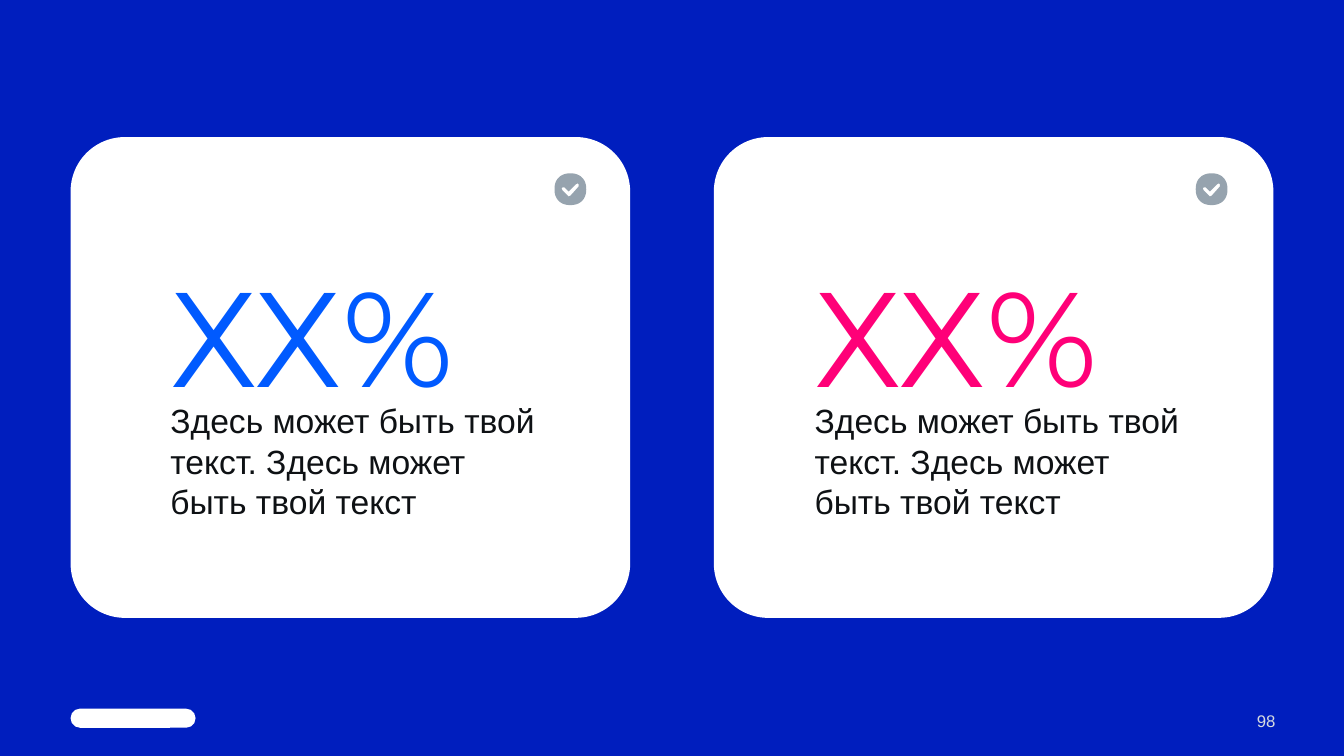
from math import cos, copysign, pi, sin

from pptx import Presentation
from pptx.dml.color import RGBColor
from pptx.enum.shapes import MSO_SHAPE
from pptx.enum.text import MSO_ANCHOR, PP_ALIGN
from pptx.util import Inches, Pt

NAVY = RGBColor(0x00, 0x1E, 0xBE)
WHITE = RGBColor(0xFF, 0xFF, 0xFF)
BLUE = RGBColor(0x00, 0x5A, 0xFF)
PINK = RGBColor(0xFF, 0x00, 0x78)
INK = RGBColor(0x0E, 0x11, 0x14)
GREY = RGBColor(0x96, 0xA3, 0xAE)
PALE = RGBColor(0xD5, 0xDA, 0xDF)

CAPTION = "Здесь может быть твой текст. Здесь может быть твой текст"
CARDS = [(0.7, 1.69, 5.5, BLUE), (7.08, 8.08, 11.86, PINK)]
TICK = [(0.24, 0.13), (0.16, 0.22), (0.14, 0.23), (0.13, 0.22), (0.08, 0.17),
        (0.07, 0.15), (0.08, 0.14), (0.1, 0.14), (0.14, 0.18), (0.21, 0.11),
        (0.23, 0.1), (0.24, 0.11)]


class SlideBuilder:
    heading_font = "Montserrat"
    body_font = "Arial"

    def __init__(self, deck, background):
        self.page = deck.slides.add_slide(deck.slide_layouts[6])
        self.page.background.fill.solid()
        self.page.background.fill.fore_color.rgb = background

    def paint(self, shape, color):
        shape.shadow.inherit = False
        shape.fill.solid()
        shape.fill.fore_color.rgb = color
        shape.line.fill.background()

    def rounded(self, left, top, width, height, color, radius):
        shape = self.page.shapes.add_shape(
            MSO_SHAPE.ROUNDED_RECTANGLE,
            Inches(left), Inches(top), Inches(width), Inches(height))
        shape.adjustments[0] = radius
        self.paint(shape, color)

    def text(self, left, top, width, height, words, size, color, font=body_font,
             align=PP_ALIGN.LEFT, anchor=MSO_ANCHOR.TOP, leading=None):
        box = self.page.shapes.add_textbox(
            Inches(left), Inches(top), Inches(width), Inches(height))
        frame = box.text_frame
        frame.margin_left = frame.margin_right = 0
        frame.margin_top = frame.margin_bottom = 0
        frame.word_wrap = True
        frame.vertical_anchor = anchor
        frame.text = words
        para = frame.paragraphs[0]
        para.alignment = align
        para.line_spacing = leading
        span = para.runs[0]
        span.font.name = font
        span.font.size = Pt(size)
        span.font.color.rgb = color

    def check_badge(self, left, top, color, size=0.315, steps=72, exponent=2.25):
        def squircle(value):
            return size / 2 * (1 + copysign(abs(value) ** (2 / exponent), value))

        def place(points):
            return [(Inches(left + x), Inches(top + y)) for x, y in points]

        angles = [2 * pi * step / steps for step in range(steps)]
        rim = place([(squircle(cos(angle)), squircle(sin(angle))) for angle in angles])
        tick = place(TICK)
        builder = self.page.shapes.build_freeform(*rim[0])
        builder.add_line_segments(rim[1:], close=True)
        builder.move_to(*tick[0])
        builder.add_line_segments(tick[1:], close=True)
        self.paint(builder.convert_to_shape(), color)


def main():
    deck = Presentation()
    deck.slide_width = Inches(13.33)
    deck.slide_height = Inches(7.5)
    slide = SlideBuilder(deck, NAVY)
    slide.rounded(0.7, 7.03, 1.24, 0.19, WHITE, 0.5)
    for card_left, text_left, badge_left, accent in CARDS:
        slide.rounded(card_left, 1.36, 5.55, 4.77, WHITE, 0.113)
        slide.text(text_left, 2.51, 3.76, 1.45, "ХХ%", 96, accent,
                   font=slide.heading_font)
        slide.text(text_left, 3.97, 3.76, 1.63, CAPTION, 24, INK, leading=Pt(28.8))
        slide.check_badge(badge_left, 1.72, GREY)
    slide.text(11.66, 7.03, 0.99, 0.24, "98", 12, PALE,
               align=PP_ALIGN.RIGHT, anchor=MSO_ANCHOR.MIDDLE)
    deck.save("out.pptx")


if __name__ == "__main__":
    main()
